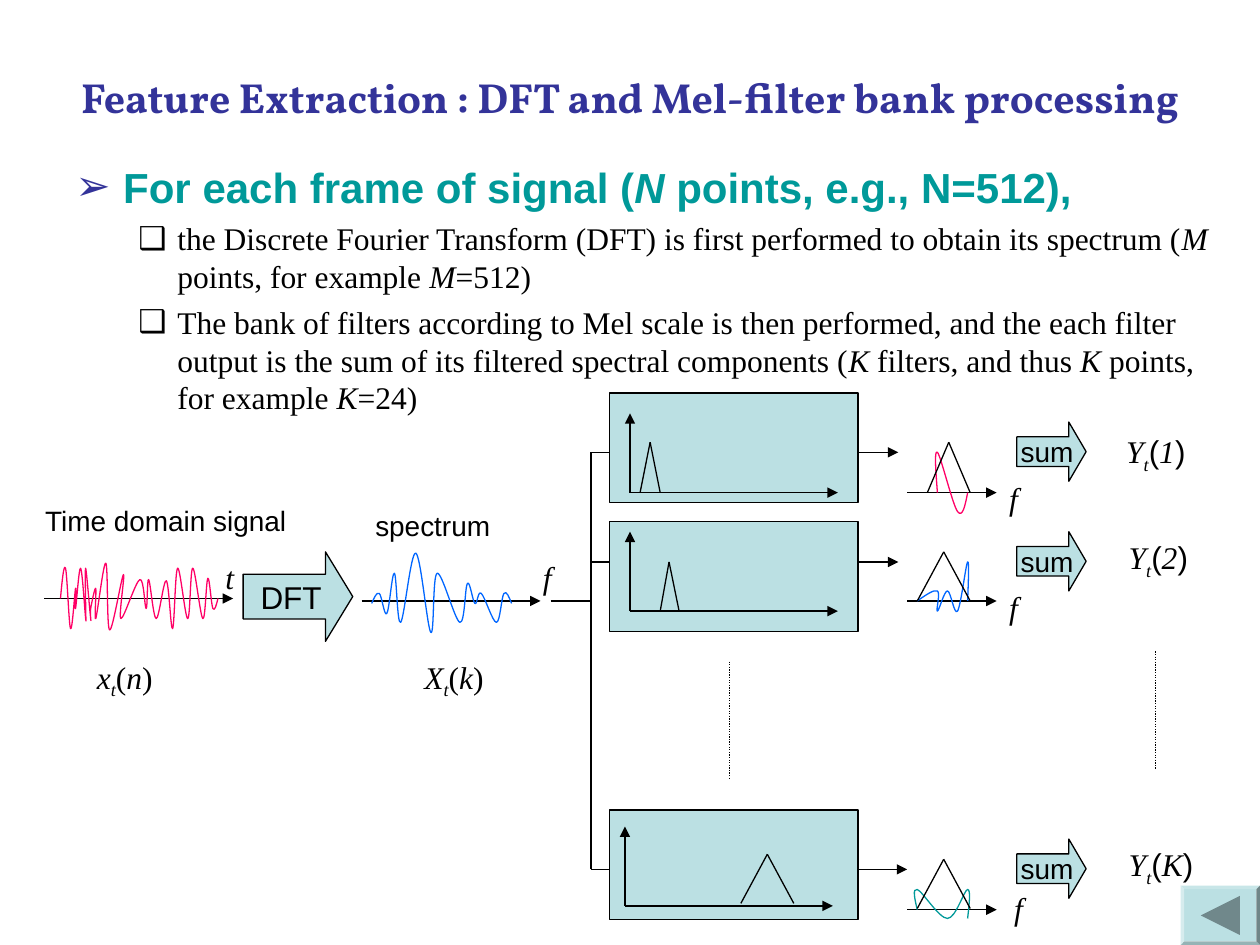
"""Builds the slide on DFT and Mel-filter bank processing."""
from lxml.etree import SubElement
from pptx import Presentation
from pptx.dml.color import RGBColor
from pptx.enum.dml import MSO_LINE
from pptx.enum.shapes import MSO_CONNECTOR, MSO_SHAPE as SHAPE
from pptx.enum.text import MSO_ANCHOR as ANCHOR, MSO_AUTO_SIZE as AUTO, PP_ALIGN as ALIGN
from pptx.oxml.ns import qn
from pptx.util import Inches, Pt

SANS, SERIF, TITLE = "Arial", "Times New Roman", "Vollkorn"
BLACK, PALE, NAVY, TEAL = "000000", "BBE0E3", "333399", "009999"
PINK, BLUE, GREY = "FF0066", "0066FF", "70888B"

HEADING = "Feature Extraction : DFT and Mel-filter bank processing"
BULLETS = [
    dict(char="➢", bullet=NAVY, left=0.38, hang=0.38, before=0,
         size=24, font=SANS, color=TEAL, bold=True,
         runs=[("For each frame of signal (", ""), ("N", "i"), (" points, e.g., N=512),", "")]),
    dict(char="❑", bullet=BLACK, left=0.81, hang=0.31, before=4.5,
         size=18, font=SERIF, color=BLACK, bold=False,
         runs=[("the Discrete Fourier Transform (DFT) is first performed to obtain its spectrum (", ""),
               ("M", "i"), (" points, for example ", ""), ("M", "i"), ("=512)", "")]),
    dict(char="❑", bullet=BLACK, left=0.81, hang=0.31, before=4.5,
         size=18, font=SERIF, color=BLACK, bold=False,
         runs=[("The bank of filters according to Mel scale is then performed, and the each filter "
                "output is the sum of its filtered spectral components (", ""),
               ("K", "i"), (" filters, and thus ", ""), ("K", "i"),
               (" points, for example ", ""), ("K", "i"), ("=24)", "")]),
]
SIGNAL = [(0.48, 4.75), (0.52, 4.51), (0.56, 4.99), (0.6, 4.67), (0.6, 4.83), (0.64, 4.51),
          (0.68, 4.91), (0.68, 4.83), (0.68, 4.51), (0.72, 4.91), (0.72, 4.83), (0.76, 4.67),
          (0.76, 4.91), (0.84, 4.47), (0.87, 5), (0.98, 4.56), (0.96, 4.91), (1.11, 4.6),
          (1.16, 4.83), (1.18, 4.6), (1.24, 4.91), (1.32, 4.61), (1.37, 4.99), (1.41, 4.51),
          (1.49, 4.91), (1.53, 4.51), (1.61, 4.91), (1.65, 4.59), (1.69, 4.83), (1.73, 4.75)]
SPECTRUM = [(2.95, 4.79), (3.01, 4.71), (3.07, 4.87), (3.13, 4.55), (3.18, 4.94), (3.3, 4.39),
            (3.42, 5.02), (3.47, 4.55), (3.65, 4.94), (3.71, 4.63), (3.77, 4.79), (3.82, 4.71),
            (3.94, 4.94), (4, 4.71), (4.06, 4.79)]
CHANNELS = [
    dict(index="1", wire=3.59, end=7.13, box=3.12, origin=(5, 3.91),
         peak=(5.08, 5.16, 5.24, 3.91, 3.51), axis=3.91, window=(7.36, 7.53, 7.7, 3.91, 3.51),
         color=PINK, f=(7.91, 3.75), label=(8.84, 3.38, 0.67),
         wave=[(7.44, 3.91), (7.44, 3.59), (7.6, 4.06), (7.68, 3.91)]),
    dict(index="2", wire=4.46, end=7.13, box=4.14, origin=(5, 4.85),
         peak=(5.24, 5.31, 5.39, 4.85, 4.46), axis=4.77, window=(7.28, 7.49, 7.7, 4.77, 4.38),
         color=BLUE, f=(7.91, 4.62), label=(8.86, 4.22, 0.67),
         wave=[(7.28, 4.77), (7.44, 4.69), (7.44, 4.85), (7.52, 4.69), (7.6, 4.85),
               (7.68, 4.46), (7.68, 4.77)]),
    dict(index="K", wire=6.9, end=7.2, box=6.43, origin=(4.96, 7.19),
         peak=(5.88, 6.09, 6.3, 7.17, 6.78), axis=7.22, window=(7.28, 7.49, 7.7, 7.21, 6.82),
         color=TEAL, f=(7.95, 7.01), label=(8.86, 6.66, 0.71),
         wave=[(7.28, 7.22), (7.28, 7.06), (7.52, 7.29), (7.68, 7.06), (7.68, 7.29)]),
]

prs = Presentation()
prs.slide_width, prs.slide_height = Inches(10), Inches(7.5)
s = prs.slides.add_slide(prs.slide_layouts[6])


def rgb(color):
    return RGBColor.from_string(color)


def add_runs(p, runs, size, font, color=BLACK, bold=False):
    """Adds (text, flags[, font]) runs; flag i is italic, s is subscript."""
    for text, flags, *other in runs:
        r = p.add_run()
        r.text = text
        r.font.size, r.font.name = Pt(size), other[0] if other else font
        r.font.bold, r.font.italic = bold, "i" in flags
        r.font.color.rgb = rgb(color)
        if "s" in flags:
            r._r.get_or_add_rPr().set("baseline", "-25000")


def text_box(x, y, w, h, wrap=True):
    tf = s.shapes.add_textbox(*map(Inches, (x, y, w, h))).text_frame
    tf.word_wrap = wrap
    return tf


def label(x, y, w, h, runs, size=18, font=SERIF, wrap=False):
    tf = text_box(x, y, w, h, wrap)
    tf.auto_size = AUTO.SHAPE_TO_FIT_TEXT
    add_runs(tf.paragraphs[0], runs, size, font)


def line(x1, y1, x2, y2, arrow=False, dotted=False):
    c = s.shapes.add_connector(MSO_CONNECTOR.STRAIGHT, *map(Inches, (x1, y1, x2, y2)))
    c.line.color.rgb, c.line.width = rgb(BLACK), Pt(0.75)
    if dotted:
        c.line.dash_style = MSO_LINE.ROUND_DOT
    if arrow:
        SubElement(c.line._get_or_add_ln(), qn("a:tailEnd"), type="triangle")
    SubElement(c._element.spPr, qn("a:effectLst"))


def peak(left, apex, right, base, top):
    line(left, base, apex, top)
    line(apex, top, right, base)


def curve(knots, color):
    """Draws a smooth curve whose tangent at each knot follows its neighbours."""
    start, *rest = [(Inches(x), Inches(y)) for x, y in knots]
    fb = s.shapes.build_freeform(*start)
    fb.add_line_segments(rest, close=False)
    sp = fb.convert_to_shape()
    sp.shadow.inherit = False
    sp.fill.background()
    sp.line.color.rgb, sp.line.width = rgb(color), Pt(0.75)
    path = next(sp._element.iter(qn("a:path")))
    pts = [(int(pt.get("x")), int(pt.get("y"))) for pt in path.iter(qn("a:pt"))]
    slopes = [tuple((b - a) / 6 for a, b in zip(p, n)) for p, n in zip(pts, pts[2:])]
    for seg in path.findall(qn("a:lnTo")):
        path.remove(seg)
    for i, (a, b) in enumerate(zip(pts, pts[1:])):
        c1 = [v + d for v, d in zip(a, slopes[i - 1])] if i else None
        c2 = [v - d for v, d in zip(b, slopes[i])] if i < len(slopes) else None
        c1 = c1 or [(u + v) / 2 for u, v in zip(a, c2)]
        c2 = c2 or [(u + v) / 2 for u, v in zip(c1, b)]
        seg = SubElement(path, qn("a:cubicBezTo"))
        for x, y in (c1, c2, b):
            SubElement(seg, qn("a:pt"), x=str(round(x)), y=str(round(y)))


def shape(kind, x, y, w, h, fill=PALE, outline=True):
    sp = s.shapes.add_shape(kind, *map(Inches, (x, y, w, h)))
    sp.shadow.inherit = False
    sp.fill.solid()
    sp.fill.fore_color.rgb = rgb(fill)
    if outline:
        sp.line.color.rgb, sp.line.width = rgb(BLACK), Pt(0.75)
    else:
        sp.line.fill.background()
    return sp


def block_arrow(x, y, w, h, head, text, size):
    sp = shape(SHAPE.RIGHT_ARROW, x, y, w, h)
    sp.adjustments[0], sp.adjustments[1] = 0.5, head
    tf = sp.text_frame
    tf.word_wrap, tf.vertical_anchor = False, ANCHOR.MIDDLE
    tf.paragraphs[0].alignment = ALIGN.CENTER
    add_runs(tf.paragraphs[0], [(text, "")], size, SANS)


def bullet_list(tf):
    for i, item in enumerate(BULLETS):
        p = tf.add_paragraph() if i else tf.paragraphs[0]
        pPr = p._p.get_or_add_pPr()
        pPr.set("marL", str(Inches(item["left"])))
        pPr.set("indent", str(-Inches(item["hang"])))
        SubElement(SubElement(pPr, qn("a:buClr")), qn("a:srgbClr"), val=item["bullet"])
        SubElement(pPr, qn("a:buFont"), typeface=SANS)
        SubElement(pPr, qn("a:buChar"), char=item["char"])
        p.space_before = Pt(item["before"])
        add_runs(p, item["runs"], item["size"], item["font"], item["color"], item["bold"])


def channel(index, wire, end, box, origin, peak_at, axis, window, wave, color, f, label_at):
    x, y = origin
    line(4.69, wire, end, wire, arrow=True)
    shape(SHAPE.RECTANGLE, 4.84, box, 1.97, 0.87)
    line(x, y, x, y - 0.63, arrow=True)
    line(x, y, x + 1.65, y, arrow=True)
    peak(*peak_at)
    line(7.2, axis, 7.91, axis, arrow=True)
    curve(wave, color)
    peak(*window)
    block_arrow(8.07, wire - 0.24, 0.55, 0.47, 0.292, "sum", 16)
    label(*f, 0.31, 0.4, [("f", "i")], wrap=True)
    label(*label_at, 0.44, [("Y", "i"), ("t", "is"), ("(", "", SANS), (index, "i"), (")", "", SANS)])


tf = text_box(0.5, 0.3, 9, 0.93)
tf.vertical_anchor = ANCHOR.MIDDLE
tf.paragraphs[0].alignment = ALIGN.CENTER
add_runs(tf.paragraphs[0], [(HEADING, "")], 24, TITLE, NAVY, True)
bullet_list(text_box(0.5, 1.23, 9.23, 6.06))

line(0.35, 4.75, 1.85, 4.75, arrow=True)
curve(SIGNAL, PINK)
block_arrow(1.93, 4.38, 0.87, 0.71, 0.305, "DFT", 18)
line(2.87, 4.77, 4.29, 4.77, arrow=True)
curve(SPECTRUM, BLUE)
for x, name in ((1.69, "t"), (4.21, "f")):
    label(x, 4.38, 0.31, 0.4, [(name, "i")], wrap=True)
label(0.26, 3.95, 2.12, 0.37, [("Time domain signal", "")], 16, SANS)
label(2.88, 3.99, 1.11, 0.37, [("spectrum", "")], 16, SANS)
for x, w, name, arg in ((0.67, 0.64, "x", "n"), (3.27, 0.67, "X", "k")):
    label(x, 5.17, w, 0.44, [(name, "i"), ("t", "is"), ("(", ""), (arg, "i"), (")", "")])

line(4.37, 4.77, 4.69, 4.77)
line(4.69, CHANNELS[0]["wire"], 4.69, CHANNELS[-1]["wire"])
for c in CHANNELS:
    channel(peak_at=c.pop("peak"), label_at=c.pop("label"), **c)
for x, y in ((5.79, 5.25), (9.17, 5.17)):
    line(x, y, x, y + 0.94, dotted=True)

shape(SHAPE.BEVEL, 9.37, 7.03, 0.63, 0.47, outline=False).adjustments[0] = 0.06
shape(SHAPE.ISOSCELES_TRIANGLE, 9.53, 7.11, 0.31, 0.31, GREY, outline=False).rotation = 270
prs.save("out.pptx")
